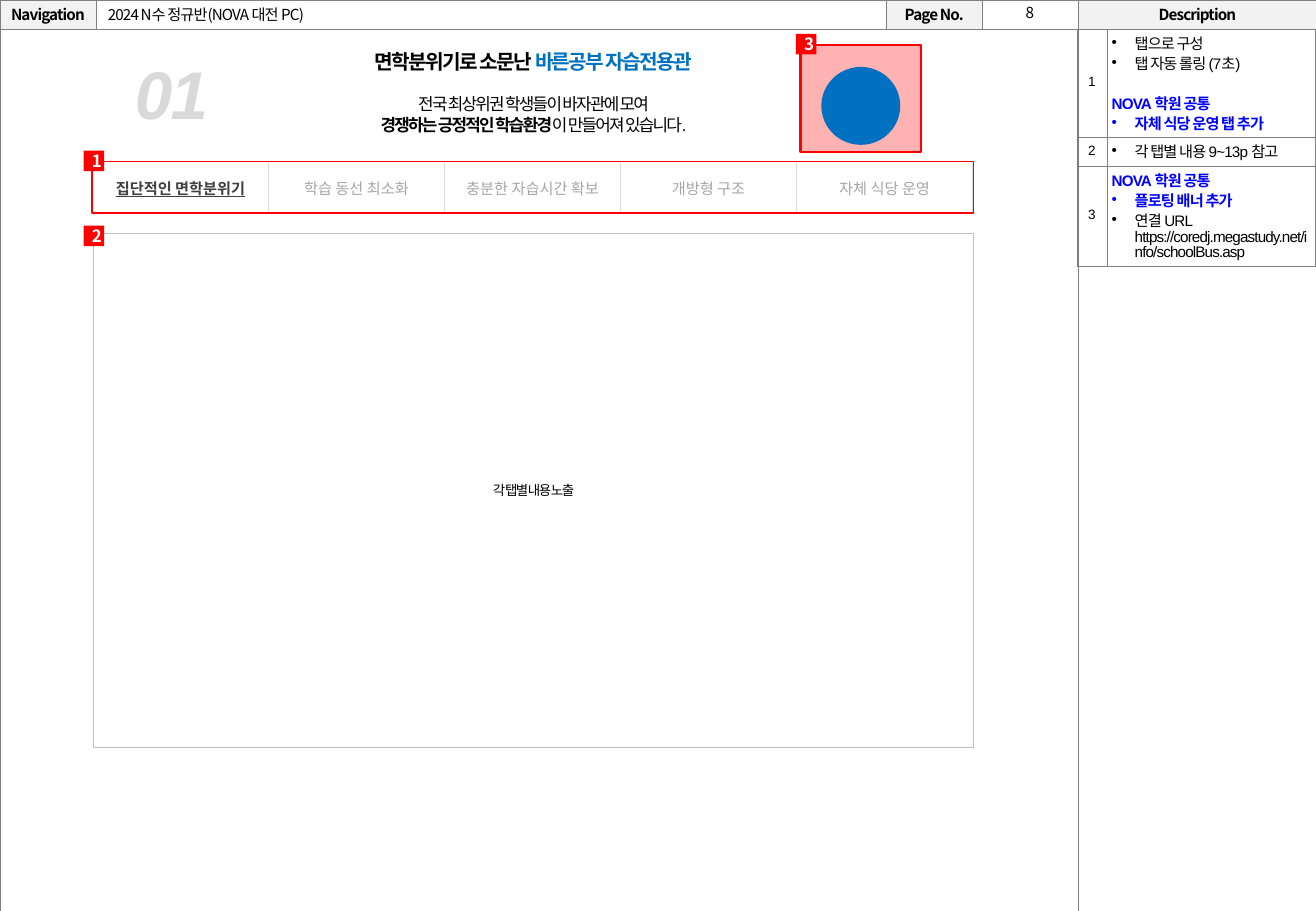
from lxml import etree
from pptx import Presentation
from pptx import util as u
from pptx.dml.color import RGBColor
from pptx.enum import shapes, text
from pptx.oxml.ns import qn

BLACK = RGBColor(0, 0, 0)
WHITE = RGBColor(255, 255, 255)
RED = RGBColor(255, 0, 0)
BLUE = RGBColor(0, 0, 255)
SKY = RGBColor(0x00, 0x70, 0xC0)
HEAD = RGBColor(0xF2, 0xF2, 0xF2)
RULE = RGBColor(0x80, 0x80, 0x80)
FRAME = RGBColor(0xBF, 0xBF, 0xBF)
PALE = RGBColor(0xD9, 0xD9, 0xD9)
TAB_ON = RGBColor(0x40, 0x40, 0x40)
TAB_OFF = RGBColor(0xA6, 0xA6, 0xA6)
NOTO, ARIAL, DEJAVU = "Noto Sans CJK KR", "Arial", "DejaVu Sans"
CENTER, LEFT = text.PP_ALIGN.CENTER, text.PP_ALIGN.LEFT
MIDDLE = text.MSO_ANCHOR.MIDDLE


def add_run(p, words, size, font=NOTO, color=BLACK, bold=False, spc=0):
    r = p.add_run()
    r.text = words
    f = r.font
    f.size, f.name, f.bold = u.Pt(size), font, bold
    f.color.rgb = color
    rPr = r._r.get_or_add_rPr()
    if spc:
        rPr.set("spc", str(int(spc * 100)))
    latin = rPr.find(qn("a:latin"))
    ea = etree.Element(qn("a:ea"), typeface=NOTO)
    latin.addnext(ea)
    return r


def add_para(tf, align=LEFT, before=0, spacing=None, bullet=False):
    p = tf.paragraphs[0]
    if p.runs:
        p = tf.add_paragraph()
    p.alignment = align
    if before:
        p.space_before = u.Pt(before)
    if spacing:
        p.line_spacing = spacing
    if bullet:
        pPr = p._p.get_or_add_pPr()
        pPr.set("marL", str(u.Cm(0.48)))
        pPr.set("indent", str(-u.Cm(0.48)))
        etree.SubElement(pPr, qn("a:buFont"), typeface=ARIAL)
        etree.SubElement(pPr, qn("a:buChar"), char="•")
    return p


def add_box(s, x, y, w, h):
    tf = s.shapes.add_textbox(u.Cm(x), u.Cm(y), u.Cm(w), u.Cm(h)).text_frame
    tf.word_wrap = True
    return tf


def add_shape(s, x, y, w, h, fill=None, line=None, width=1,
              kind=shapes.MSO_SHAPE.RECTANGLE):
    sp = s.shapes.add_shape(kind, u.Cm(x), u.Cm(y), u.Cm(w), u.Cm(h))
    sp.shadow.inherit = False
    if fill is None:
        sp.fill.background()
    else:
        sp.fill.solid()
        sp.fill.fore_color.rgb = fill
    if line is None:
        sp.line.fill.background()
    else:
        sp.line.color.rgb = line
        sp.line.width = u.Pt(width)
    sp.text_frame.vertical_anchor = MIDDLE
    return sp


def add_badge(s, x, y, number):
    tf = add_shape(s, x, y, 0.43, 0.43, RED).text_frame
    tf.margin_left = u.Cm(0.12)
    tf.margin_right = tf.margin_top = tf.margin_bottom = 0
    add_run(add_para(tf, CENTER), number, 10, color=WHITE, bold=True)


def add_table(s, x, y, cols, rows):
    frame = s.shapes.add_table(len(rows), len(cols), u.Cm(x), u.Cm(y),
                               u.Cm(sum(cols)), u.Cm(sum(rows)))
    tbl = frame.table
    tbl.first_row = tbl.horz_banding = False
    for col, w in zip(tbl.columns, cols):
        col.width = u.Cm(w)
    for row, h in zip(tbl.rows, rows):
        row.height = u.Cm(h)
    return frame


def format_cell(cell, color, width, sides="LRTB", fill=None, inset=None):
    tcPr = cell._tc.get_or_add_tcPr()
    for side in "LRTB":
        ln = etree.SubElement(tcPr, qn("a:ln" + side), w=str(u.Pt(width)))
        if side in sides:
            solid = etree.SubElement(ln, qn("a:solidFill"))
            etree.SubElement(solid, qn("a:srgbClr"), val=str(color))
        else:
            etree.SubElement(ln, qn("a:noFill"))
    if fill is None:
        cell.fill.background()
    else:
        cell.fill.solid()
        cell.fill.fore_color.rgb = fill
    cell.vertical_anchor = MIDDLE
    if inset is not None:
        cell.margin_left = cell.margin_right = u.Cm(inset)
        cell.margin_top = cell.margin_bottom = u.Cm(inset)


def add_page_frame(s):
    frame = add_table(s, 0, 0, [2, 16.53, 2, 2, 5], [0.6, 18.46])
    s.shapes._spTree.insert(2, frame._element)
    tbl = frame.table
    labels = {0: "Navigation", 2: "Page No.", 4: "Description"}
    for i, cell in enumerate(tbl.iter_cells()):
        format_cell(cell, RULE, 0.25, fill=HEAD if i in labels else WHITE, inset=0)
        p = add_para(cell.text_frame, CENTER)
        if i in labels:
            add_run(p, labels[i], 9, bold=True, spc=-0.5)
        else:
            p._p.get_or_add_endParaRPr().set("sz", "900")
    tbl.cell(1, 0).merge(tbl.cell(1, 3))
    tf = add_box(s, 20.55, -0.05, 1.96, 0.62)
    add_run(add_para(tf, CENTER), "8", 9, spc=-0.5)


def add_title(s):
    sp = s.shapes.title
    sp.left, sp.top, sp.width, sp.height = u.Cm(2), u.Cm(0), u.Cm(16.55), u.Cm(0.6)
    tf = sp.text_frame
    tf.auto_size = text.MSO_AUTO_SIZE.NONE
    tf.vertical_anchor = MIDDLE
    add_run(add_para(tf), "2024 N수 정규반(NOVA 대전 PC)", 9, spc=-0.5)


def add_description(s):
    common = ("NOVA 학원 공통", BLUE, False)
    notes = [
        [("탭으로 구성", BLACK, True), ("탭 자동 롤링 (7초)", BLACK, True),
         common, ("자체 식당 운영 탭 추가", BLUE, True)],
        [("각 탭별 내용 9~13p 참고", BLACK, True)],
        [common, ("플로팅 배너 추가", BLUE, True),
         ("연결 URL https://coredj.megastudy.net/info/schoolBus.asp", BLACK, True)],
    ]
    tbl = add_table(s, 22.51, 0.6, [0.63, 4.36], [2.26, 0.61, 2.09]).table
    for i, lines in enumerate(notes):
        number, note = tbl.cell(i, 0), tbl.cell(i, 1)
        for cell in (number, note):
            format_cell(cell, RULE, 0.25, inset=0.1)
        add_run(add_para(number.text_frame, CENTER, spacing=0.9),
                str(i + 1), 8, ARIAL, spc=-1)
        for j, (words, color, bullet) in enumerate(lines):
            gap = 0 if bullet or j == 0 else 12
            p = add_para(note.text_frame, before=gap, spacing=0.9, bullet=bullet)
            add_run(p, words, 9, ARIAL, color, color == BLUE, -0.5)


def add_heading(s):
    tf = add_box(s, 1.96, 0.91, 18.39, 2.06)
    lines = [
        (0, 12, [("면학분위기로 소문난 ", BLACK, True), ("바른공부 자습전용관", SKY, True)]),
        (12, 10, [("전국 최상위권 학생들이 바자관에 모여", BLACK, False)]),
        (0, 10, [("경쟁하는 긍정적인 학습환경", BLACK, True),
                 ("이 만들어져 있습니다.", BLACK, False)]),
    ]
    for before, size, runs in lines:
        p = add_para(tf, CENTER, before)
        for words, color, bold in runs:
            add_run(p, words, size, ARIAL, color, bold, -1)
    tf = add_box(s, 2.57, 0.97, 2.21, 1.96)
    r = add_run(add_para(tf), "01", 40, ARIAL, PALE, True, -1)
    r.font.italic = True


def add_tabs(s):
    tabs = ["집단적인 면학분위기", "학습 동선 최소화", "충분한 자습시간 확보",
            "개방형 구조", "자체 식당 운영"]
    tbl = add_table(s, 1.93, 3.4, [3.68] * len(tabs), [1.04]).table
    for i, words in enumerate(tabs):
        cell, on = tbl.cell(0, i), i == 0
        format_cell(cell, PALE, 1, "LR")
        r = add_run(add_para(cell.text_frame, CENTER), words, 9, DEJAVU,
                    TAB_ON if on else TAB_OFF, on)
        r.font.underline = on
    add_shape(s, 1.93, 3.38, 18.42, 1.07, line=RED)


def add_banner(s):
    sp = add_shape(s, 16.74, 0.94, 2.51, 2.24, RED, RED, 1.5)
    clr = sp._element.spPr.find(qn("a:solidFill")).find(qn("a:srgbClr"))
    etree.SubElement(clr, qn("a:alpha"), val="30000")
    add_shape(s, 17.17, 1.4, 1.65, 1.63, SKY, kind=shapes.MSO_SHAPE.OVAL)


def main():
    prs = Presentation()
    prs.slide_width, prs.slide_height = u.Cm(27.51), u.Cm(19.05)
    s = prs.slides.add_slide(prs.slide_layouts[5])
    add_page_frame(s)
    add_title(s)
    add_description(s)
    content = add_shape(s, 1.96, 4.88, 18.39, 10.74, WHITE, FRAME, 0.25)
    add_run(add_para(content.text_frame, CENTER), "각 탭별 내용 노출", 8, ARIAL, spc=-1)
    add_heading(s)
    add_tabs(s)
    add_banner(s)
    for number, (x, y) in enumerate([(1.75, 3.15), (1.75, 4.72), (16.64, 0.71)], 1):
        add_badge(s, x, y, str(number))
    prs.save("out.pptx")


if __name__ == "__main__":
    main()
